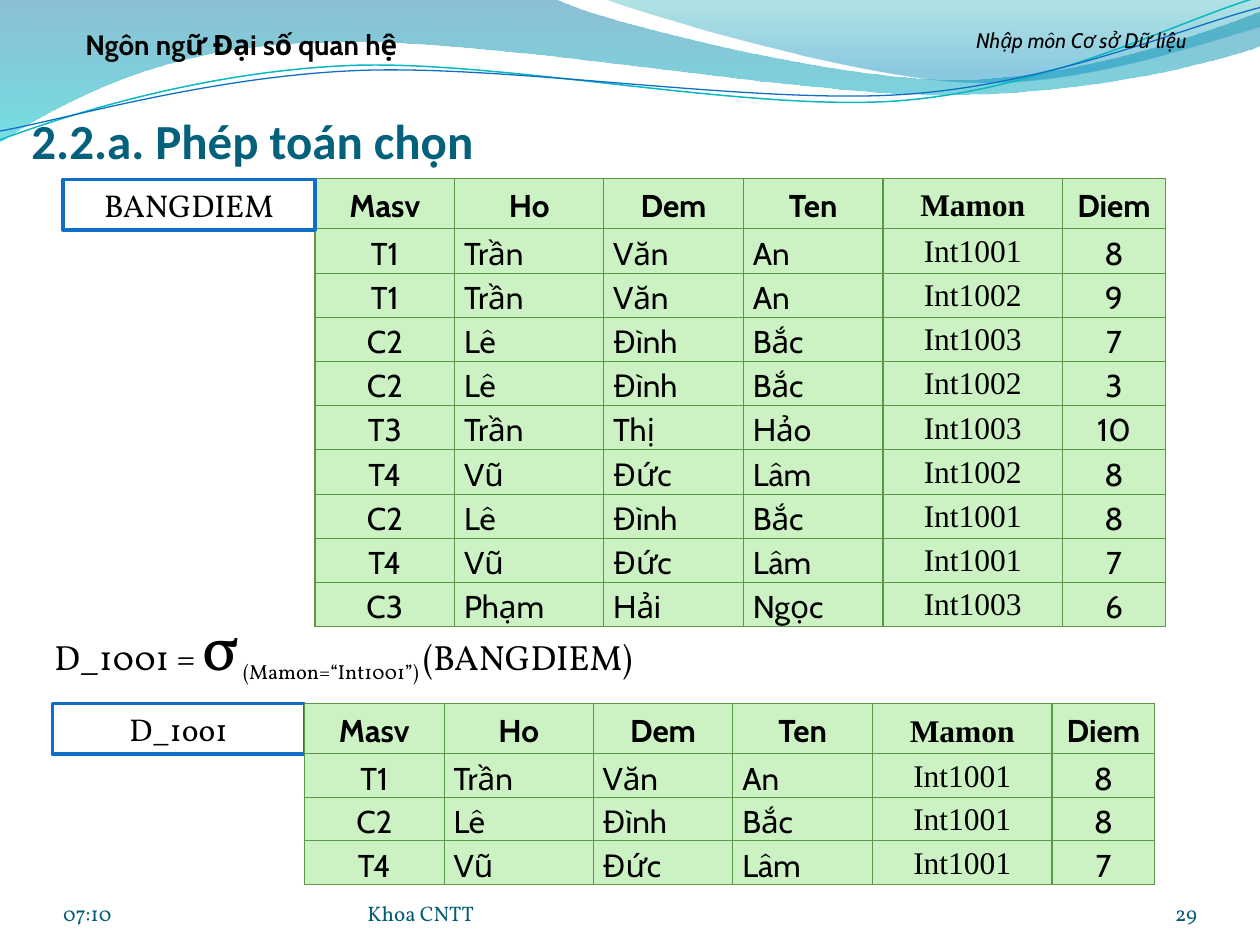
from math import cos, radians, sin

from lxml import etree
from pptx import Presentation
from pptx.dml.color import RGBColor
from pptx.enum.shapes import MSO_SHAPE
from pptx.enum.text import MSO_ANCHOR, PP_ALIGN
from pptx.oxml.ns import qn
from pptx.util import Inches, Pt

LEFT, CENTER, RIGHT = PP_ALIGN.LEFT, PP_ALIGN.CENTER, PP_ALIGN.RIGHT
TOP, MIDDLE, BOTTOM = MSO_ANCHOR.TOP, MSO_ANCHOR.MIDDLE, MSO_ANCHOR.BOTTOM
RECTANGLE = MSO_SHAPE.RECTANGLE

WIDTH, HEIGHT = Inches(10), Inches(7.5)
GRID = WIDTH / 120
MILLE = WIDTH / 1000
WAVE_TILT = 2.7
WAVE_CENTER = (499, 58)

COLORS = {
    "text": "000000", "title": "04617B", "footer": "045D75", "white": "FFFFFF",
    "label line": "0F6FC6", "cell": "CCF2C4", "border": "5B9747",
    "teal line": "0AB8BF", "blue line": "0F6FC6",
    "deep blue": "0074A1", "aqua": "00C6CF", "sea": "00A1A9", "sky": "008BBF",
}

COLUMNS = [("Masv", 13.3), ("Ho", 14.2), ("Dem", 13.3),
           ("Ten", 13.3), ("Mamon", 17.1), ("Diem", 9.8)]
NAME_COLUMNS = ("Ho", "Dem", "Ten")
HEADER_ROW = 4.8

GRADES = [
    ("T1", "Trần", "Văn", "An", "Int1001", "8"),
    ("T1", "Trần", "Văn", "An", "Int1002", "9"),
    ("C2", "Lê", "Đình", "Bắc", "Int1003", "7"),
    ("C2", "Lê", "Đình", "Bắc", "Int1002", "3"),
    ("T3", "Trần", "Thị", "Hảo", "Int1003", "10"),
    ("T4", "Vũ", "Đức", "Lâm", "Int1002", "8"),
    ("C2", "Lê", "Đình", "Bắc", "Int1001", "8"),
    ("T4", "Vũ", "Đức", "Lâm", "Int1001", "7"),
    ("C3", "Phạm", "Hải", "Ngọc", "Int1003", "6"),
]

BANDS = [
    ([[(0, -1)], [(440, -1)], [(476, 17), (664, 63), (758, 63)],
      [(853, 63), (958, 26), (1000, 9)], [(1001, 36)],
      [(983, 44), (870, 76), (746, 75)], [(622, 75), (382, 28), (257, 34)],
      [(129, 35), (46, 83), (-1, 113)], [(0, -1)]],
     [(0, "deep blue", 45), (1, "aqua", 55)]),
    ([[(479, -1)], [(509, 11), (682, 62), (769, 65)],
      [(856, 69), (961, 32), (1000, 21)], [(1000, 0)], [(479, -1)]],
     [(0, "sea", 30), (0.8, "sky", 45)]),
]
WAVES = [
    ([[(0, 111)], [(48, 93), (158, 57), (277, 52)], [(395, 47), (593, 89), (713, 80)],
      [(833, 71), (938, 15), (998, -2)]], "teal line", 0.85),
    ([[(0, 104)], [(47, 96), (164, 61), (283, 56)], [(403, 51), (597, 83), (717, 75)],
      [(836, 67), (941, 21), (1000, 6)]], "blue line", 0.75),
]


def rgb(name):
    """Return the named colour."""
    return RGBColor.from_string(COLORS[name])


def place(*lengths):
    """Turn grid lengths into slide lengths."""
    return [round(length * GRID) for length in lengths]


def level(point):
    """Turn a point of a tilted wave back to the level."""
    across, down = (value - center for value, center in zip(point, WAVE_CENTER))
    cosine, sine = cos(radians(WAVE_TILT)), sin(radians(WAVE_TILT))
    return (WAVE_CENTER[0] + across * cosine - down * sine,
            WAVE_CENTER[1] + across * sine + down * cosine)


def add_outline(slide, segments, closed):
    """Draw an outline whose three-point segments are cubic curves."""
    points = [(round(x * MILLE), round(y * MILLE)) for segment in segments for x, y in segment]
    builder = slide.shapes.build_freeform(*points[0])
    builder.add_line_segments(points[1:], close=closed)
    shape = builder.convert_to_shape()
    shape.shadow.inherit = False
    lines = iter(list(shape._element.iter(qn("a:lnTo"))))
    for segment in segments[1:]:
        first, *others = [next(lines) for _ in segment]
        if others:
            first.tag = qn("a:cubicBezTo")
        for line in others:
            first.append(line[0])
            line.getparent().remove(line)
    return shape


def add_band(slide, segments, stops):
    """Draw a translucent band shaded from top to bottom."""
    shape = add_outline(slide, segments, True)
    shape.line.fill.background()
    shape.fill.gradient()
    shape.fill.gradient_angle = 270
    for stop, (position, color, _) in zip(shape.fill.gradient_stops, stops):
        stop.position = position
        stop.color.rgb = rgb(color)
    for element, (_, _, opacity) in zip(shape._element.iter(qn("a:srgbClr")), stops):
        etree.SubElement(element, qn("a:alpha"), val=str(opacity * 1000))


def add_wave(slide, segments, color, weight):
    """Draw a thin tilted wavy line."""
    shape = add_outline(slide, [list(map(level, segment)) for segment in segments], False)
    shape.rotation = 360 - WAVE_TILT
    shape.fill.background()
    shape.line.color.rgb = rgb(color)
    shape.line.width = Pt(weight)


def style(paragraph, font_name, size, color="text", align=LEFT, bold=False, italic=False):
    """Set the alignment and font of a paragraph."""
    paragraph.alignment = align
    font = paragraph.font
    font.name, font.size, font.bold, font.italic = font_name, Pt(size), bold, italic
    font.color.rgb = rgb(color)


def add_text(slide, box, text, font_name, size, anchor=TOP, insets=None, **look):
    """Add a one-paragraph text box and return its paragraph."""
    frame = slide.shapes.add_textbox(*place(*box)).text_frame
    frame.word_wrap = True
    frame.vertical_anchor = anchor
    if insets:
        (frame.margin_left, frame.margin_top,
         frame.margin_right, frame.margin_bottom) = map(Inches, insets)
    paragraph = frame.paragraphs[0]
    if text:
        paragraph.text = text
    style(paragraph, font_name, size, **look)
    return paragraph


def add_label(slide, left, top, text):
    """Add the framed name of a relation."""
    shape = slide.shapes.add_shape(RECTANGLE, *place(left, top, 24, 4.8))
    shape.shadow.inherit = False
    shape.fill.solid()
    shape.fill.fore_color.rgb = rgb("white")
    shape.line.color.rgb = rgb("label line")
    shape.line.width = Pt(2)
    shape.text_frame.vertical_anchor = MIDDLE
    paragraph = shape.text_frame.paragraphs[0]
    paragraph.text = text
    style(paragraph, "Vollkorn", 18, align=CENTER)


def fill_cell(cell, text, column, header):
    """Write and format one table cell."""
    cell.margin_left = cell.margin_right = Pt(5.4)
    cell.margin_top = cell.margin_bottom = 0
    cell.vertical_anchor = MIDDLE if header else TOP
    properties = cell._tc.get_or_add_tcPr()
    for side in ("lnL", "lnR", "lnT", "lnB"):
        line = etree.SubElement(properties, qn(f"a:{side}"), w=str(Pt(0.75)))
        fill = etree.SubElement(line, qn("a:solidFill"))
        etree.SubElement(fill, qn("a:srgbClr"), val=COLORS["border"])
    cell.fill.solid()
    cell.fill.fore_color.rgb = rgb("cell")
    paragraph = cell.text_frame.paragraphs[0]
    paragraph.text = text
    paragraph.line_spacing = 1.15
    style(paragraph, "Times New Roman" if column == "Mamon" else "Cabin", 18,
          align=LEFT if column in NAME_COLUMNS and not header else CENTER, bold=header)


def add_relation(slide, left, top, body_row, records):
    """Add a relation as a table with a header row."""
    names = [name for name, _ in COLUMNS]
    rows = [names, *records]
    height = HEADER_ROW + body_row * len(records)
    table = slide.shapes.add_table(len(rows), len(names),
                                   *place(left, top, 81, height)).table
    for column, (_, width) in zip(table.columns, COLUMNS):
        column.width = place(width)[0]
    for index, values in enumerate(rows):
        table.rows[index].height = place(body_row if index else HEADER_ROW)[0]
        for position, value in enumerate(values):
            fill_cell(table.cell(index, position), value, names[position], index == 0)


def add_formula(slide):
    """Add the selection formula with its subscript condition."""
    paragraph = add_text(slide, (4, 58, 64, 7), "", "Vollkorn", 20, anchor=MIDDLE)
    for text, size, baseline in (("D_1001 = ", 20, 0), ("σ", 36, 0),
                                 (" (Mamon=“Int1001”) ", 20, -25), ("(BANGDIEM)", 20, 0)):
        run = paragraph.add_run()
        run.text = text
        run.font.size = Pt(size)
        run._r.get_or_add_rPr().set("baseline", str(baseline * 1000))


def main():
    """Build the slide and save it."""
    presentation = Presentation()
    presentation.slide_width, presentation.slide_height = WIDTH, HEIGHT
    slide = presentation.slides.add_slide(presentation.slide_layouts[6])
    for band in BANDS:
        add_band(slide, *band)
    for wave in WAVES:
        add_wave(slide, *wave)
    for left, width, text, align in ((6, 28, "07:10", LEFT), (104, 10, "29", RIGHT),
                                     (35, 44, "Khoa CNTT", LEFT)):
        add_text(slide, (left, 83.4, width, 4.8), text, "Vollkorn", 12, anchor=BOTTOM,
                 insets=(0, 0, 0, 0), color="footer", align=align)
    for left, width, text, size, bold in ((86, 34, "Nhập môn Cơ sở Dữ liệu", 12, False),
                                          (3, 40, "Ngôn ngữ Đại số quan hệ", 16, True)):
        add_text(slide, (left, 2, width, 4.5), text, "Cabin", size,
                 align=CENTER, bold=bold, italic=not bold)
    add_text(slide, (3, 8, 108, 8.1), "2.2.a. Phép toán chọn", "Calibri", 28,
             anchor=BOTTOM, insets=(0, 0.05, 0, 0), color="title", bold=True)
    add_relation(slide, 30, 17, 4.21, GRADES)
    add_label(slide, 6, 17.1, "BANGDIEM")
    add_label(slide, 5, 67, "D_1oo1")
    add_relation(slide, 29, 67, 4.1, [record for record in GRADES if record[4] == "Int1001"])
    add_formula(slide)
    presentation.save("out.pptx")


if __name__ == "__main__":
    main()
